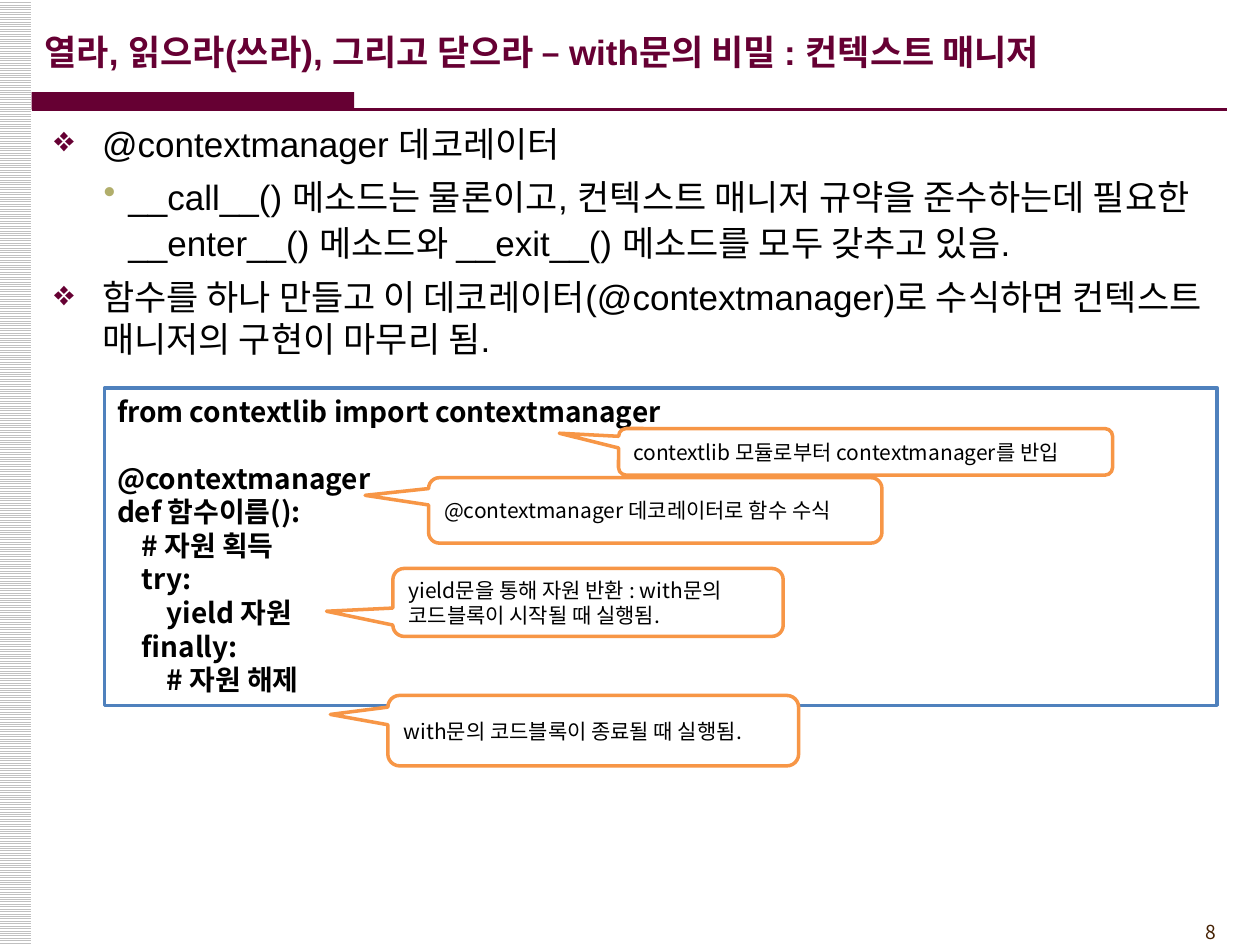
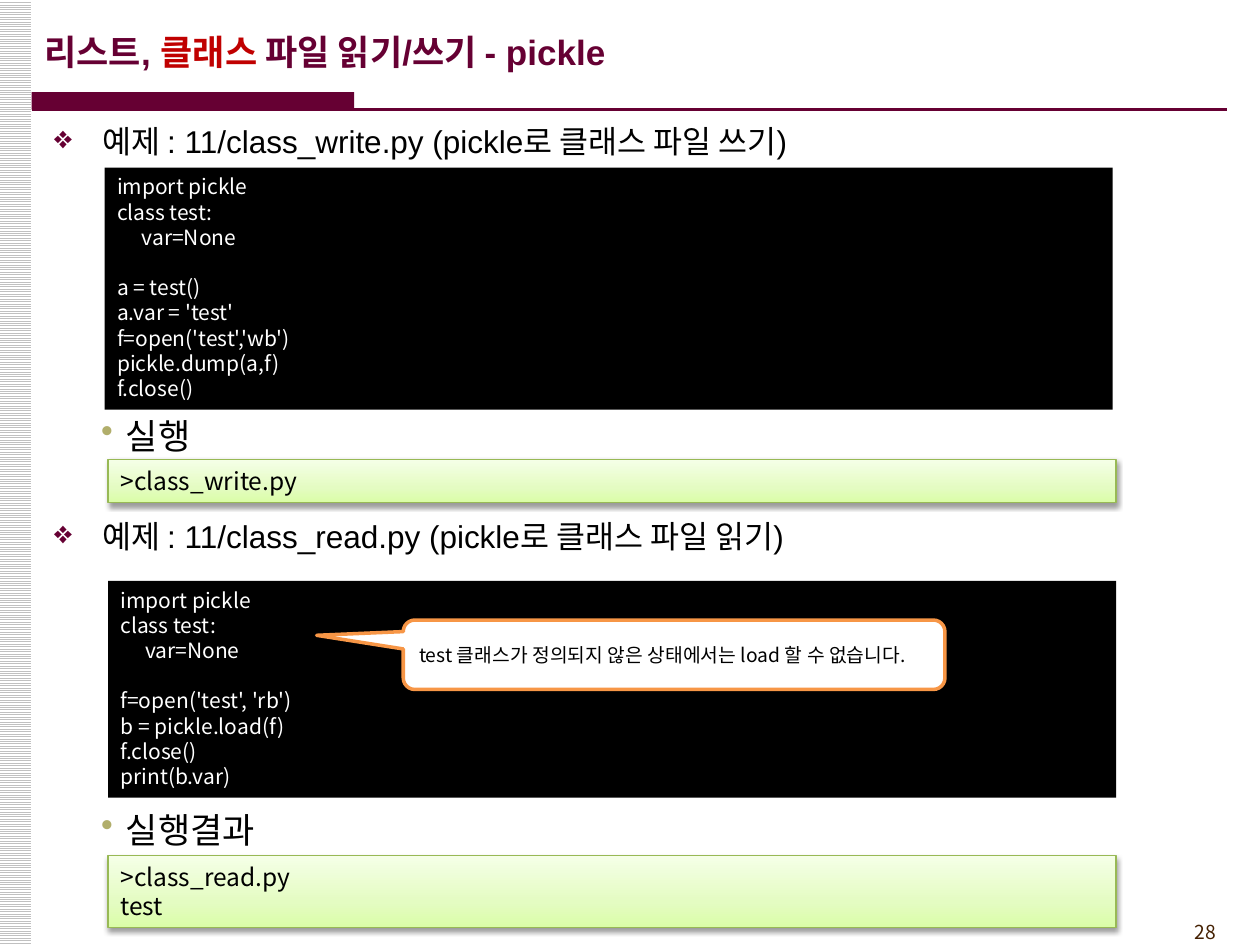
from copy import deepcopy

from lxml.etree import SubElement
from pptx import Presentation
from pptx.dml.color import RGBColor
from pptx.enum.dml import MSO_PATTERN
from pptx.enum.shapes import MSO_CONNECTOR, MSO_SHAPE
from pptx.enum.text import MSO_ANCHOR, MSO_AUTO_SIZE, PP_ALIGN
from pptx.oxml.ns import qn
from pptx.util import Cm, Pt

COLORS = {
    "wine": "660033", "red": "C00000", "black": "000000", "white": "FFFFFF",
    "stripe": "C0C0C0", "page": "452103", "olive": "B1AE6B",
    "blue": "4F81BD", "orange": "F79646", "green": "98B955",
    "green_low": "DAFDA7", "green_mid": "E4FCC2", "green_high": "F5FFE7",
}
RGB = {name: RGBColor.from_string(value) for name, value in COLORS.items()}
HEADING, CODE = "Arial", "Noto Sans CJK KR"
LINE_HEIGHT = 1.2
CODE_INDENT = 0.5  # cm per code level


def add_run(paragraph, text, size, color="black", font=CODE, bold=False):
    run = paragraph.add_run()
    run.text = text
    run.font.size = Pt(size)
    run.font.bold = bold
    run.font.color.rgb = RGB[color]
    run.font.name = font
    SubElement(run.font._element, qn("a:ea"), typeface=CODE)


def add_bullet(paragraph, text, size, level=0, font=HEADING, before=4):
    mark, color, left, hanging = [("❖", "wine", 0.97, 0.97), ("•", "olive", 1.5, 0.5)][level]
    paragraph.level = level
    paragraph.space_before = Pt(before)
    if level:
        paragraph.line_spacing = 1.1
        paragraph.space_after = Pt(3)
    properties = paragraph._p.get_or_add_pPr()
    properties.set("marL", str(Cm(left)))
    properties.set("indent", str(-Cm(hanging)))
    SubElement(SubElement(properties, qn("a:buClr")), qn("a:srgbClr"), val=COLORS[color])
    SubElement(properties, qn("a:buChar"), char=mark)
    add_run(paragraph, text, size, font=font)


# Content: title runs, page number, bullets as (text, size, level, space before)
pages = [
    {
        "title": [("열라, 읽으라(쓰라), 그리고 닫으라 – with문의 비밀 : 컨텍스트 매니저", "wine")],
        "title_width": 24.18,
        "number": "8",
        "bullets": [
            ("@contextmanager 데코레이터", 20, 0, 4),
            ("__call__() 메소드는 물론이고, 컨텍스트 매니저 규약을 준수하는데 필요한 "
             "__enter__() 메소드와 __exit__() 메소드를 모두 갖추고 있음.", 20, 1, 4),
            ("함수를 하나 만들고 이 데코레이터(@contextmanager)로 수식하면 "
             "컨텍스트 매니저의 구현이 마무리 됨.", 20, 0, 4),
        ],
        "captions": [],
        "boxes": [
            ("frame", 2.11, 7.82, 22.43, 6.4, """from contextlib import contextmanager

@contextmanager
def 함수이름():
    # 자원 획득
    try:
        yield 자원
    finally:
        # 자원 해제"""),
        ],
        "callouts": [
            (12.47, 8.64, 9.96, 0.94, 12, -0.62, -0.4,
             "contextlib 모듈로부터 contextmanager를 반입"),
            (8.64, 9.63, 9.14, 1.32, 12, -0.64, -0.23,
             "@contextmanager 데코레이터로 함수 수식"),
            (7.92, 11.46, 7.87, 1.37, 12, -0.67, 0.13,
             "yield문을 통해 자원 반환 : with문의 코드블록이 시작될 때 실행됨."),
            (7.82, 14.02, 8.28, 1.42, 12, -0.64, -0.23,
             "with문의 코드블록이 종료될 때 실행됨."),
        ],
    },
    {
        "title": [("리스트, ", "wine"), ("클래스 ", "red"), ("파일 읽기/쓰기 - pickle", "wine")],
        "title_width": 21.01,
        "number": "28",
        "bullets": [
            ("예제 : 11/class_write.py (pickle로 클래스 파일 쓰기)", 18, 0, 3.6),
            ("예제 : 11/class_read.py (pickle로 클래스 파일 읽기)", 18, 0, 204),
        ],
        "captions": [("실행", 8.15), ("실행결과", 16.08)],
        "boxes": [
            ("console", 2.11, 3.38, 20.32, 4.88, """import pickle
class test:
    var=None

a = test()
a.var = 'test'
f=open('test','wb')
pickle.dump(a,f)
f.close()"""),
            ("result", 2.18, 9.27, 20.32, 0.86, ">class_write.py"),
            ("console", 2.18, 11.71, 20.32, 4.37, """import pickle
class test:
    var=None

f=open('test', 'rb')
b = pickle.load(f)
f.close()
print(b.var)"""),
            ("result", 2.18, 17.25, 20.32, 1.45, ">class_read.py\ntest"),
        ],
        "callouts": [
            (8.13, 12.5, 10.92, 1.4, 11, -0.66, -0.28,
             "test 클래스가 정의되지 않은 상태에서는 load 할 수 없습니다."),
        ],
    },
]
# Code box styles: text size, text colour, bold
box_text = {"frame": (16, "black", True), "console": (12, "white", False),
            "result": (14, "black", False)}

deck = Presentation()
deck.slide_width, deck.slide_height = Cm(25.4), Cm(19.05)

for page in pages:
    slide = deck.slides.add_slide(deck.slide_layouts[5])
    shapes = slide.shapes

    # Striped side band and title rule
    side = shapes.add_shape(MSO_SHAPE.RECTANGLE, Cm(-0.03), 0, Cm(0.66), Cm(19.05))
    side.fill.patterned()
    side.fill.pattern = MSO_PATTERN.LIGHT_HORIZONTAL
    side.fill.fore_color.rgb = RGB["stripe"]
    side.fill.back_color.rgb = RGB["white"]
    bar = shapes.add_shape(MSO_SHAPE.RECTANGLE, Cm(0.64), Cm(1.86), Cm(6.5), Cm(0.35))
    bar.fill.solid()
    bar.fill.fore_color.rgb = RGB["wine"]
    for band in (side, bar):
        band.line.fill.background()
        band.shadow.inherit = False
    rule = shapes.add_connector(MSO_CONNECTOR.STRAIGHT, Cm(0.64), Cm(2.21), Cm(24.74), Cm(2.21))
    rule.line.color.rgb = RGB["wine"]
    rule.line.width = Pt(1.5)
    SubElement(rule._element.spPr, qn("a:effectLst"))

    # Page number
    number = shapes.add_textbox(Cm(22.66), Cm(18.42), Cm(2.11), Cm(0.74)).text_frame
    number.word_wrap = True
    number.paragraphs[0].alignment = PP_ALIGN.RIGHT
    add_run(number.paragraphs[0], page["number"], 11, "page")

    # Title
    title = shapes.title
    title.left, title.top = Cm(0.64), Cm(0.23)
    title.width, title.height = Cm(page["title_width"]), Cm(1.6)
    title.text_frame.auto_size = MSO_AUTO_SIZE.NONE
    title.text_frame.vertical_anchor = MSO_ANCHOR.MIDDLE
    heading = title.text_frame.paragraphs[0]
    heading.alignment = PP_ALIGN.LEFT
    for text, color in page["title"]:
        add_run(heading, text, 20, color, HEADING, True)

    # Bulleted body
    body = shapes.add_textbox(Cm(0.84), Cm(2.34), Cm(24.13), Cm(15.88)).text_frame
    body.word_wrap = True
    for i, (text, size, level, before) in enumerate(page["bullets"]):
        paragraph = body.add_paragraph() if i else body.paragraphs[0]
        add_bullet(paragraph, text, size, level, before=before)

    # Captions above the results
    for text, top in page["captions"]:
        caption = shapes.add_textbox(Cm(0.79), Cm(top), Cm(6.15), Cm(0.99)).text_frame
        caption.word_wrap = True
        add_bullet(caption.paragraphs[0], text, 20, 1, CODE)

    # Code listings and results
    for kind, left, top, width, height, listing in page["boxes"]:
        box = shapes.add_shape(MSO_SHAPE.RECTANGLE, Cm(left), Cm(top), Cm(width), Cm(height))
        box.shadow.inherit = False
        if kind == "result":
            box.fill.gradient()
            stops = box._element.spPr.find(".//" + qn("a:gsLst"))
            stops.insert(1, deepcopy(stops[0]))
            shades = [(0, "green_low"), (0.35, "green_mid"), (1, "green_high")]
            for stop, (position, shade) in zip(box.fill.gradient_stops, shades):
                stop.position = position
                stop.color.rgb = RGB[shade]
            box.fill.gradient_angle = 90
            box.line.color.rgb = RGB["green"]
            box.line.width = Pt(0.75)
            shadow = SubElement(box._element.spPr.find(qn("a:effectLst")), qn("a:outerShdw"),
                                blurRad=str(Pt(3.1)), dist=str(Pt(1.6)), dir="5400000",
                                rotWithShape="0")
            shade = SubElement(shadow, qn("a:srgbClr"), val=COLORS["black"])
            SubElement(shade, qn("a:alpha"), val="38000")
        else:
            box.fill.solid()
            box.fill.fore_color.rgb = RGB["white" if kind == "frame" else "black"]
            if kind == "frame":
                box.line.color.rgb = RGB["blue"]
                box.line.width = Pt(2)
            else:
                box.line.fill.background()

        size, color, bold = box_text[kind]
        frame = box.text_frame
        frame.vertical_anchor = MSO_ANCHOR.TOP
        gap = 0
        for i, line in enumerate(listing.split("\n")):
            if not line:
                gap = size * LINE_HEIGHT
                continue
            paragraph = frame.add_paragraph() if i else frame.paragraphs[0]
            paragraph.alignment = PP_ALIGN.LEFT
            paragraph.space_before = Pt(gap)
            gap = 0
            code = line.lstrip()
            depth = (len(line) - len(code)) // 4
            paragraph._p.get_or_add_pPr().set("marL", str(Cm(depth * CODE_INDENT)))
            add_run(paragraph, code, size, color, bold=bold)

    # Callouts pointing at code lines
    for left, top, width, height, size, tip_x, tip_y, text in page["callouts"]:
        callout = shapes.add_shape(MSO_SHAPE.ROUNDED_RECTANGULAR_CALLOUT,
                                   Cm(left), Cm(top), Cm(width), Cm(height))
        callout.adjustments[0], callout.adjustments[1] = tip_x, tip_y
        callout.shadow.inherit = False
        callout.fill.solid()
        callout.fill.fore_color.rgb = RGB["white"]
        callout.line.color.rgb = RGB["orange"]
        callout.line.width = Pt(2)
        frame = callout.text_frame
        frame.margin_top = frame.margin_bottom = 0
        frame.vertical_anchor = MSO_ANCHOR.MIDDLE
        frame.paragraphs[0].alignment = PP_ALIGN.LEFT
        add_run(frame.paragraphs[0], text, size)

deck.save("out.pptx")
